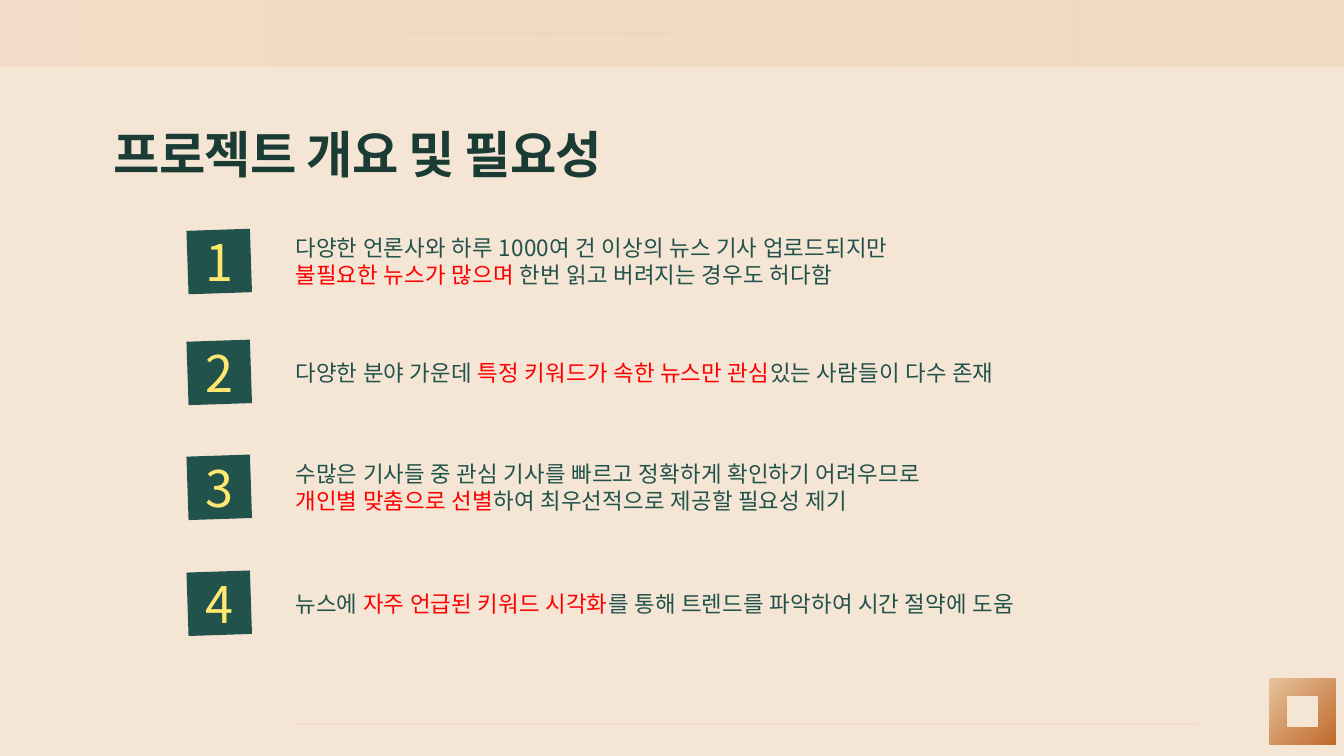
from lxml import etree
from pptx import Presentation
from pptx.dml.color import RGBColor
from pptx.enum import shapes, text
from pptx.oxml.ns import qn
from pptx.util import Inches, Pt

FONT = "Noto Sans CJK KR"
COLORS = {
    "page": "F4E5D4", "sand": "E7C49D", "blush": "F3D5BB", "rust": "C16A2C",
    "rule": "E3AB83", "title": "1B3C35", "teal": "22524C", "red": "FF0000",
    "gold": "FFE770",
}
TILE = 0.63
LINE = 0.27
ROWS = [
    (2.28, [[("다양한 언론사와 하루 1000여 건 이상의 뉴스 기사 업로드되지만", "teal")],
            [("불필요한 뉴스가 많으며 ", "red"), ("한번 읽고 버려지는 경우도 허다함", "teal")]]),
    (3.38, [[("다양한 분야 가운데 ", "teal"), ("특정 키워드가 속한 뉴스만 관심", "red"),
             ("있는 사람들이 다수 존재", "teal")]]),
    (4.52, [[("수많은 기사들 중 관심 기사를 빠르고 정확하게 확인하기 어려우므로", "teal")],
            [("개인별 맞춤으로 선별", "red"), ("하여 최우선적으로 제공할 필요성 제기", "teal")]]),
    (5.67, [[("뉴스에 ", "teal"), ("자주 언급된 키워드 시각화", "red"),
             ("를 통해 트렌드를 파악하여 시간 절약에 도움", "teal")]]),
]


def color(name):
    return RGBColor.from_string(COLORS[name])


def fade(node, percent):
    for tone in node.iter(qn("a:srgbClr")):
        etree.SubElement(tone, qn("a:alpha")).set("val", str(percent * 1000))


def style(run, size, name, bold=False, track=0):
    font = run.font
    font.size = Pt(size)
    font.bold = bold
    font.color.rgb = color(name)
    font.name = FONT
    props = run._r.get_or_add_rPr()
    etree.SubElement(props, qn("a:ea")).set("typeface", FONT)
    if track:
        props.set("spc", str(round(track * 100)))


def setup(frame, anchor=text.MSO_ANCHOR.TOP):
    frame.margin_left = frame.margin_right = 0
    frame.margin_top = frame.margin_bottom = 0
    frame.word_wrap = True
    frame.auto_size = text.MSO_AUTO_SIZE.NONE
    frame.vertical_anchor = anchor


def add_block(slide, kind, left, top, width, height):
    block = slide.shapes.add_shape(kind, *map(Inches, (left, top, width, height)))
    block.shadow.inherit = False
    block.line.fill.background()
    return block


def blend(block, names, angle):
    block.fill.gradient()
    block.fill.gradient_angle = angle
    for stop, name, place in zip(block.fill.gradient_stops, names, (0, 1)):
        stop.color.rgb = color(name)
        stop.position = place


def add_rule(slide, left, right, top):
    rule = slide.shapes.add_connector(
        shapes.MSO_CONNECTOR.STRAIGHT, *map(Inches, (left, top, right, top)))
    rule.line.color.rgb = color("rule")
    rule.line.width = Pt(0.5)
    props = rule._element.spPr
    fade(props, 24)
    etree.SubElement(props, qn("a:effectLst"))


def add_frame(slide, left, top, width, height):
    box = slide.shapes.add_textbox(*map(Inches, (left, top, width, height)))
    setup(box.text_frame)
    return box.text_frame


def add_decor(slide):
    band = add_block(slide, shapes.MSO_SHAPE.RECTANGLE, 0, 0, 13.33, 0.66)
    blend(band, ("blush", "sand"), 0)
    for stop, percent in zip(band._element.spPr.iter(qn("a:gs")), (50, 31)):
        fade(stop, percent)
    add_rule(slide, 4.01, 6.67, 0.33)
    badge = add_block(slide, shapes.MSO_SHAPE.FRAME, 12.59, 6.73, 0.66, 0.66)
    badge.adjustments[0] = 0.265
    blend(badge, ("sand", "rust"), 315)
    add_rule(slide, 2.91, 11.88, 7.18)


def add_title(slide, words):
    title = slide.shapes.title
    title.left, title.top, title.width, title.height = map(
        Inches, (1.13, 1.21, 6.03, 0.62))
    frame = title.text_frame
    frame.text = words
    setup(frame, text.MSO_ANCHOR.MIDDLE)
    para = frame.paragraphs[0]
    para.alignment = text.PP_ALIGN.LEFT
    style(para.runs[0], 36, "title", bold=True, track=-0.6)


def add_number(slide, number, top):
    tile = add_block(slide, shapes.MSO_SHAPE.RECTANGLE, 1.86, top, TILE, TILE)
    tile.fill.solid()
    tile.fill.fore_color.rgb = color("teal")
    tile.rotation = 358.1
    frame = add_frame(slide, 1.72, top + 0.03, 0.91, 0.59)
    frame.text = str(number)
    para = frame.paragraphs[0]
    para.alignment = text.PP_ALIGN.CENTER
    para.line_spacing = Pt(42)
    style(para.runs[0], 36, "gold")


def add_point(slide, lines, middle):
    height = LINE * len(lines)
    frame = add_frame(slide, 2.93, middle - height / 2, 7.68, height)
    para = frame.paragraphs[0]
    for index, line in enumerate(lines):
        if index:
            para.add_line_break()
        for words, name in line:
            run = para.add_run()
            run.text = words
            style(run, 16, name, track=0.2)


def main():
    deck = Presentation()
    deck.slide_width, deck.slide_height = Inches(13.33), Inches(7.5)
    slide = deck.slides.add_slide(deck.slide_layouts[5])
    slide.background.fill.solid()
    slide.background.fill.fore_color.rgb = color("page")
    add_decor(slide)
    add_title(slide, "프로젝트 개요 및 필요성")
    for number, (top, lines) in enumerate(ROWS, 1):
        add_number(slide, number, top)
        add_point(slide, lines, top + TILE / 2)
    deck.save("out.pptx")


if __name__ == "__main__":
    main()
